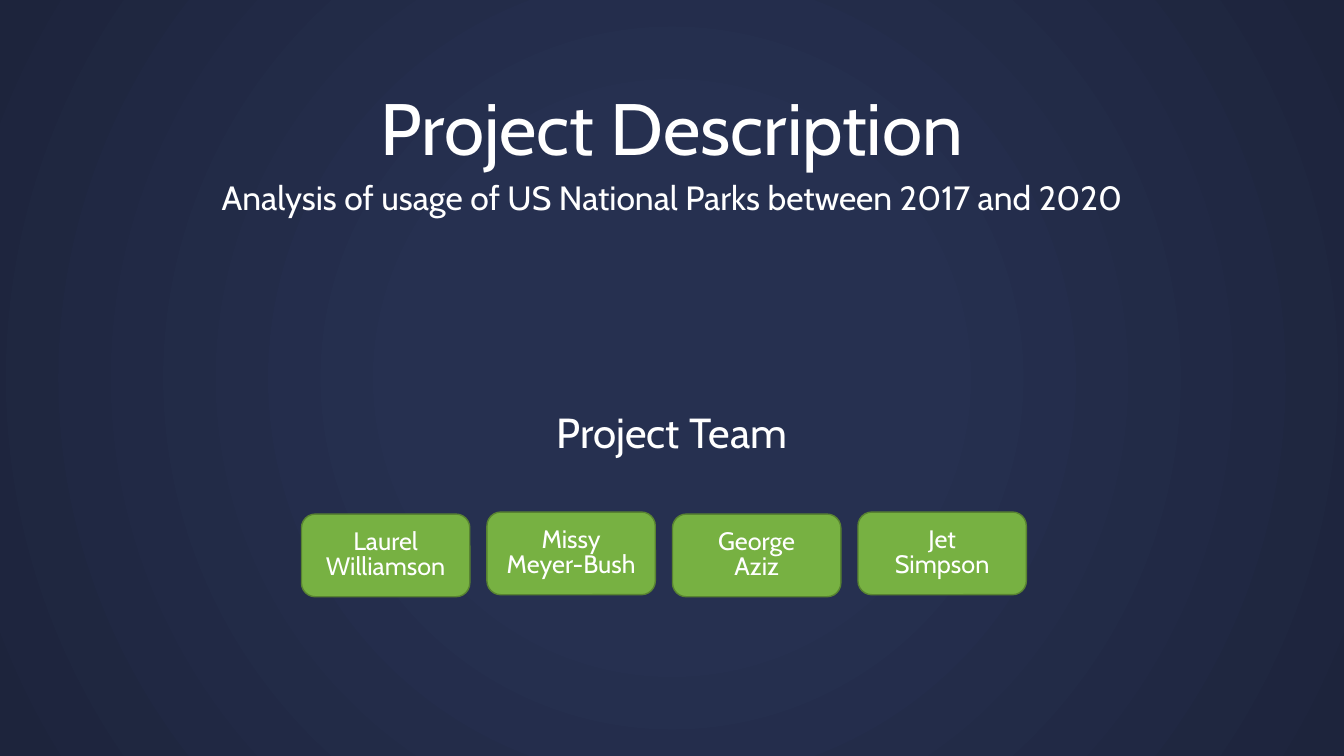
import pptx
import pptx.util
import pptx.dml.color
import pptx.enum.shapes
import pptx.enum.text
import pptx.oxml
import pptx.oxml.ns
from dataclasses import dataclass


@dataclass(frozen=True)
class Theme:
    font: str = "Cabin"
    text: str = "FFFFFF"
    glow: str = "263050"
    edge: str = "1D243C"
    card: str = "77B142"
    card_line: str = "588331"
    title_size: int = 52
    heading_size: int = 30
    subtitle_size: int = 24
    name_size: int = 18


theme = Theme()
Anchor = pptx.enum.text.MSO_ANCHOR


def rgb(value):
    return pptx.dml.color.RGBColor.from_string(value)


def write(box, text, size, anchor, spacing):
    frame = box.text_frame
    frame.text = text
    frame.word_wrap = True
    frame.auto_size = pptx.enum.text.MSO_AUTO_SIZE.NONE
    frame.vertical_anchor = anchor
    for paragraph in frame.paragraphs:
        paragraph.alignment = pptx.enum.text.PP_ALIGN.CENTER
        paragraph.line_spacing = spacing
        paragraph.space_before = pptx.util.Pt(0)
        for run in paragraph.runs:
            run.font.name = theme.font
            run.font.size = pptx.util.Pt(size)
            run.font.color.rgb = rgb(theme.text)


deck = pptx.Presentation()
deck.slide_width = pptx.util.Inches(13.33)
deck.slide_height = pptx.util.Inches(7.5)
slide = deck.slides.add_slide(deck.slide_layouts[0])

# Background: a glow spreading from the centre
backdrop = slide.background.fill
backdrop.gradient()
for stop, color, position in zip(backdrop.gradient_stops, (theme.glow, theme.edge), (0.32, 1)):
    stop.color.rgb = rgb(color)
    stop.position = position
gradient = next(slide.element.iter(pptx.oxml.ns.qn("a:gradFill")))
gradient.replace(gradient.find(pptx.oxml.ns.qn("a:lin")), pptx.oxml.parse_xml(
    f'<a:path {pptx.oxml.ns.nsdecls("a")} path="circle">'
    '<a:fillToRect l="50000" t="50000" r="50000" b="50000"/></a:path>'))

# Title, subtitle and team heading share one centred column
column_left = deck.slide_width // 8
column_width = deck.slide_width * 3 // 4
title, subtitle = slide.placeholders
heading = slide.shapes.add_textbox(0, 0, 0, 0)
for box, text, top, height, size, anchor in (
    (title, "Project Description", 0.58, 1.17, theme.title_size, Anchor.BOTTOM),
    (subtitle, "Analysis of usage of US National Parks between 2017 and 2020",
     1.75, 1.25, theme.subtitle_size, Anchor.TOP),
    (heading, "Project Team", 3.42, 1.17, theme.heading_size, Anchor.BOTTOM),
):
    box.left, box.width = column_left, column_width
    box.top, box.height = pptx.util.Inches(top), pptx.util.Inches(height)
    write(box, text, size, anchor, 0.9)

# Team cards: one row at an equal pitch, every second card slightly raised
members = ("Laurel Williamson", "Missy\nMeyer-Bush", "George\nAziz", "Jet\nSimpson")
row_left, row_top, pitch, lift = 2.99, 5.1, 1.84, 0.02
card_width, card_height = 1.67, 0.82
for index, member in enumerate(members):
    card = slide.shapes.add_shape(
        pptx.enum.shapes.MSO_SHAPE.ROUNDED_RECTANGLE,
        pptx.util.Inches(row_left + index * pitch),
        pptx.util.Inches(row_top - index % 2 * lift),
        pptx.util.Inches(card_width), pptx.util.Inches(card_height))
    card.shadow.inherit = False
    card.fill.solid()
    card.fill.fore_color.rgb = rgb(theme.card)
    card.line.color.rgb = rgb(theme.card_line)
    card.line.width = pptx.util.Pt(1)
    write(card, member, theme.name_size, Anchor.MIDDLE, pptx.util.Pt(theme.name_size))

deck.save("out.pptx")
